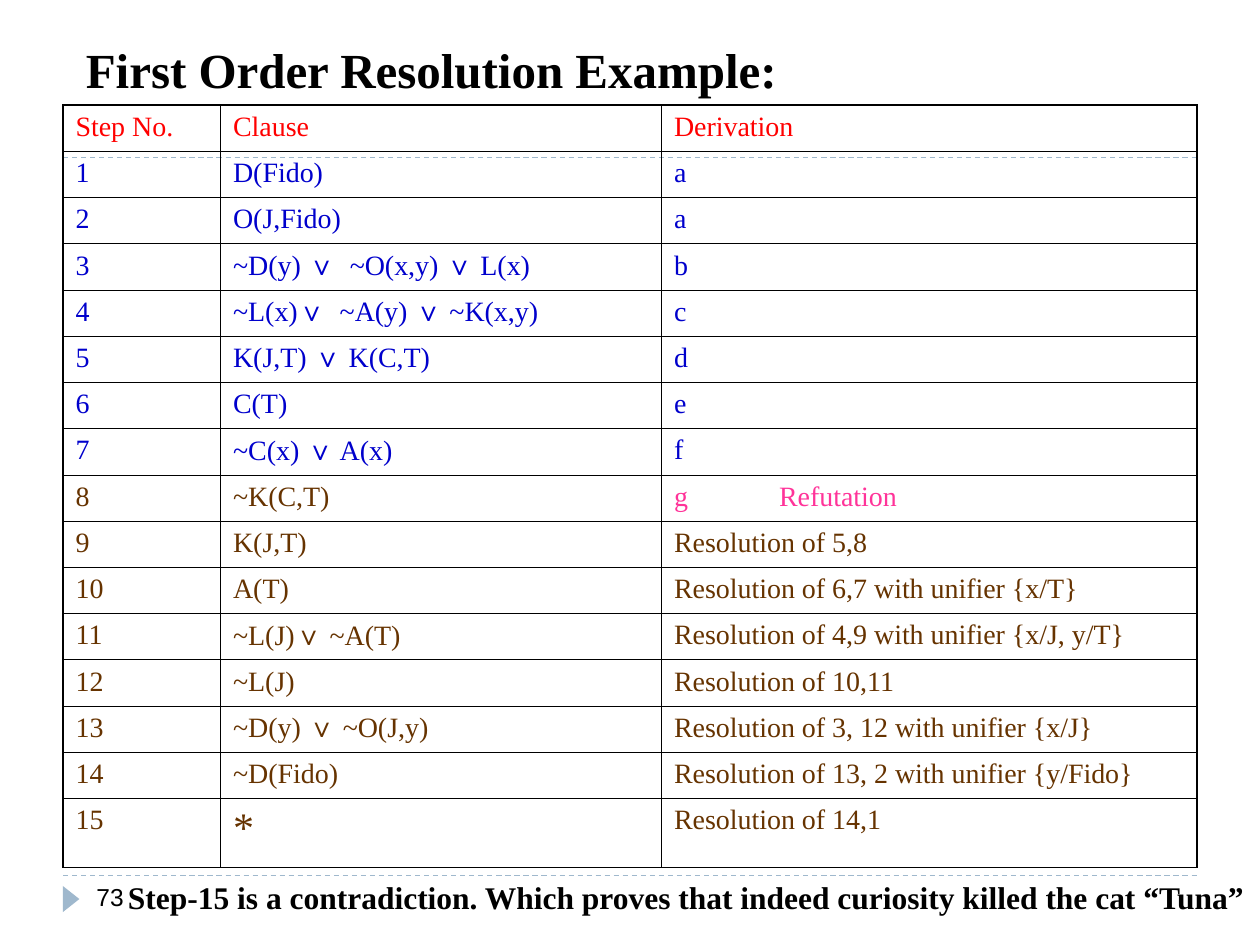
from dataclasses import dataclass
from lxml.etree import SubElement
from pptx import Presentation
from pptx.dml.color import RGBColor
from pptx.enum.dml import MSO_LINE
from pptx.enum.shapes import MSO_CONNECTOR, MSO_SHAPE
from pptx.enum.text import MSO_ANCHOR, PP_ALIGN
from pptx.oxml import parse_xml
from pptx.oxml.ns import nsdecls, qn
from pptx.util import Pt

COLORS = {
    "black": "000000", "header": "FF0000", "given": "0000CC",
    "derived": "663300", "refute": "FF3399", "accent": "9FB8CD",
}
SERIF, SANS = "Times New Roman", "Arial"
OUTER, INNER = 1.08, 0.45  # table border widths
COL_WIDTHS = (90, 252, 306)
ROW_HEIGHT, LAST_HEIGHT = 26.4, 39.4
REFUTATION_TAB = 60


@dataclass
class Step:
    clause: str
    derivation: str
    color: str = "derived"
    derivation_color: str = ""
    clause_size: float = 16


STEPS = [
    Step("D(Fido)", "a", "given"),
    Step("O(J,Fido)", "a", "given"),
    Step("~D(y) ∨  ~O(x,y) ∨ L(x)", "b", "given"),
    Step("~L(x)∨  ~A(y) ∨ ~K(x,y)", "c", "given"),
    Step("K(J,T) ∨ K(C,T)", "d", "given"),
    Step("C(T)", "e", "given"),
    Step("~C(x) ∨ A(x)", "f", "given"),
    Step("~K(C,T)", "g\tRefutation", derivation_color="refute"),
    Step("K(J,T)", "Resolution of 5,8"),
    Step("A(T)", "Resolution of 6,7 with unifier {x/T}"),
    Step("~L(J)∨ ~A(T)", "Resolution of 4,9 with unifier {x/J, y/T}"),
    Step("~L(J)", "Resolution of 10,11"),
    Step("~D(y) ∨ ~O(J,y)", "Resolution of 3, 12 with unifier {x/J}"),
    Step("~D(Fido)", "Resolution of 13, 2 with unifier {y/Fido}"),
    Step("*", "Resolution of 14,1", clause_size=24),
]


def rgb(name: str) -> RGBColor:
    return RGBColor.from_string(COLORS[name])


def write(tf, text: str, *, size: float = 16, color: str = "black",
          font: str = SERIF, bold: bool = False, align=PP_ALIGN.LEFT) -> None:
    """Fill a text frame with one paragraph; the ∨ sign is set in sans."""
    p = tf.paragraphs[0]
    p.alignment = align
    if "\t" in text:
        tabs = SubElement(p._p.get_or_add_pPr(), qn("a:tabLst"))
        SubElement(tabs, qn("a:tab"), pos=str(Pt(REFUTATION_TAB)), algn="l")
    for part in text.replace("∨", "|∨|").split("|"):
        r = p.add_run()
        r.text = part
        r.font.name = SANS if part == "∨" else font
        r.font.size = Pt(size)
        r.font.bold = bold
        r.font.color.rgb = rgb(color)


def add_text(s, text: str, left: float, top: float, width: float, height: float,
             *, wrap: bool = True, anchor=MSO_ANCHOR.TOP, **fmt) -> None:
    tf = s.shapes.add_textbox(Pt(left), Pt(top), Pt(width), Pt(height)).text_frame
    tf.word_wrap = wrap
    tf.vertical_anchor = anchor
    write(tf, text, **fmt)


def add_dashed_rule(s, y: float) -> None:
    line = s.shapes.add_connector(MSO_CONNECTOR.STRAIGHT, Pt(36), Pt(y), Pt(684), Pt(y))
    line.line.color.rgb = rgb("accent")
    line.line.width = Pt(0.75)
    line.line.dash_style = MSO_LINE.DASH
    SubElement(line._element.spPr, qn("a:effectLst"))


def set_borders(cell, widths: dict[str, float]) -> None:
    tc_pr = cell._tc.get_or_add_tcPr()
    for i, (side, width) in enumerate(widths.items()):
        tc_pr.insert(i, parse_xml(
            f'<a:ln{side} {nsdecls("a")} w="{Pt(width)}"><a:solidFill>'
            f'<a:srgbClr val="{COLORS["black"]}"/></a:solidFill></a:ln{side}>'))


def add_steps_table(s, left: float, top: float) -> None:
    rows = [[(h, "header", 16) for h in ("Step No.", "Clause", "Derivation")]]
    for n, step in enumerate(STEPS, 1):
        rows.append([(str(n), step.color, 16),
                     (step.clause, step.color, step.clause_size),
                     (step.derivation, step.derivation_color or step.color, 16)])
    heights = [ROW_HEIGHT] * (len(rows) - 1) + [LAST_HEIGHT]
    table = s.shapes.add_table(len(rows), len(COL_WIDTHS), Pt(left), Pt(top),
                               Pt(sum(COL_WIDTHS)), Pt(sum(heights))).table
    table.first_row = table.horz_banding = False
    for col, width in zip(table.columns, COL_WIDTHS):
        col.width = Pt(width)
    last_row, last_col = len(rows) - 1, len(COL_WIDTHS) - 1
    for i, row in enumerate(rows):
        table.rows[i].height = Pt(heights[i])
        for j, (text, color, size) in enumerate(row):
            cell = table.cell(i, j)
            cell.fill.background()
            set_borders(cell, {"L": OUTER if j == 0 else INNER,
                               "R": OUTER if j == last_col else INNER,
                               "T": OUTER if i == 0 else INNER,
                               "B": OUTER if i == last_row else INNER})
            write(cell.text_frame, text, color=color, size=size)


def main() -> None:
    prs = Presentation()
    prs.slide_width, prs.slide_height = Pt(720), Pt(540)
    s = prs.slides.add_slide(prs.slide_layouts[6])

    # Dashed rules and page marker
    for y in (500.4, 90):
        add_dashed_rule(s, y)
    sp = s.shapes.add_shape(MSO_SHAPE.ISOSCELES_TRIANGLE,
                            Pt(33.1), Pt(509), Pt(15), Pt(9.5))
    sp.rotation = 90
    sp.shadow.inherit = False
    sp.fill.solid()
    sp.fill.fore_color.rgb = rgb("accent")
    sp.line.fill.background()

    # Title and resolution steps
    add_text(s, "First Order Resolution Example:", 42, 18, 648, 42,
             anchor=MSO_ANCHOR.BOTTOM, size=28, bold=True)
    add_steps_table(s, 36, 60)

    # Page number and conclusion
    add_text(s, "73", 48, 500.4, 156, 28.8, size=14, font=SANS)
    add_text(s, "Step-15 is a contradiction. Which proves that indeed "
             "curiosity killed the cat “Tuna”", 65, 498.4, 654.5, 28.8,
             wrap=False, size=18, bold=True, align=PP_ALIGN.CENTER)

    prs.save("out.pptx")


if __name__ == "__main__":
    main()
